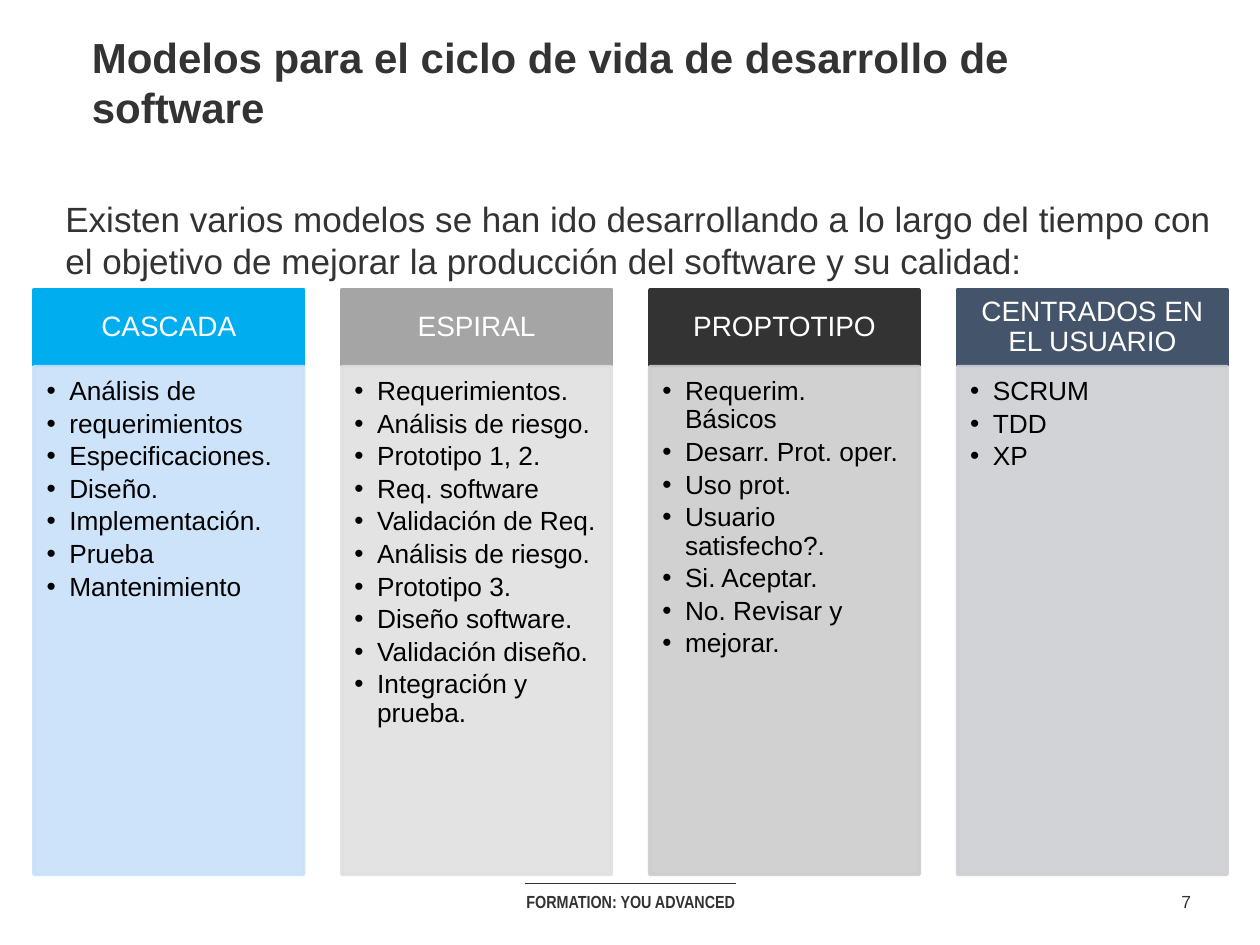
"""Build the slide on software life cycle models."""
from lxml.etree import SubElement
from pptx import Presentation
from pptx.dml.color import RGBColor
from pptx.enum.shapes import MSO_CONNECTOR, MSO_SHAPE
from pptx.enum.text import MSO_ANCHOR as ANCHOR, PP_ALIGN as ALIGN
from pptx.oxml.ns import qn
from pptx.util import Inches, Pt

DARK = RGBColor(0x33, 0x33, 0x33)
WHITE = RGBColor(0xFF, 0xFF, 0xFF)
BLACK = RGBColor(0, 0, 0)

TITLE = "Modelos para el ciclo de vida de desarrollo de software"
INTRO = ("Existen varios modelos se han ido desarrollando a lo largo del tiempo "
         "con el objetivo de mejorar la producción del software y su calidad:")
FOOTER = "FORMATION: YOU ADVANCED"
PAGE = "7"

MODELS = [
    ("CASCADA", RGBColor(0x00, 0xAD, 0xEF), RGBColor(0xC8, 0xE1, 0xF9),
     ["Análisis de", "requerimientos", "Especificaciones.", "Diseño.",
      "Implementación.", "Prueba", "Mantenimiento"]),
    ("ESPIRAL", RGBColor(0xA5, 0xA5, 0xA5), RGBColor(0xE0, 0xE0, 0xE0),
     ["Requerimientos.", "Análisis de riesgo.", "Prototipo 1, 2.",
      "Req. software", "Validación de Req.", "Análisis de riesgo.",
      "Prototipo 3.", "Diseño software.", "Validación diseño.",
      "Integración y prueba."]),
    ("PROPTOTIPO", DARK, RGBColor(0xCC, 0xCC, 0xCC),
     ["Requerim. Básicos", "Desarr. Prot. oper.", "Uso prot.",
      "Usuario satisfecho?.", "Si. Aceptar.", "No. Revisar y", "mejorar."]),
    ("CENTRADOS EN EL USUARIO", RGBColor(0x44, 0x54, 0x6A),
     RGBColor(0xCD, 0xCF, 0xD3), ["SCRUM", "TDD", "XP"]),
]

LEFT, LAST_LEFT, COL_W = 0.27, 7.6, 2.14
HEAD_Y, HEAD_H, BODY_Y, BODY_H = 2.3, 0.6, 2.91, 4.03
PITCH = (LAST_LEFT - LEFT) / (len(MODELS) - 1)

TITLE_FONT = {"name": "Arial", "size": Pt(24), "bold": True}
INTRO_FONT = {"name": "Arial", "size": Pt(20)}
FOOTER_FONT = {"name": "Arial Narrow", "size": Pt(10), "bold": True}
PAGE_FONT = {"name": "Arial", "size": Pt(10)}
HEAD_FONT = {"name": "Arial", "size": Pt(16)}
BODY_FONT = {"name": "Arial", "size": Pt(15)}


def set_frame(sp, insets, anchor=ANCHOR.TOP):
    tf = sp.text_frame
    sides = ("margin_left", "margin_top", "margin_right", "margin_bottom")
    for side, inset in zip(sides, insets):
        setattr(tf, side, Inches(inset))
    tf.word_wrap = True
    tf.vertical_anchor = anchor
    return tf


def write(p, text, font, color, **layout):
    for key, value in layout.items():
        setattr(p, key, value)
    r = p.add_run()
    r.text = text
    for key, value in font.items():
        setattr(r.font, key, value)
    r.font.color.rgb = color


def add_text(s, box, text, font, inset_y=0.05, **layout):
    sp = s.shapes.add_textbox(*map(Inches, box))
    tf = set_frame(sp, (0.1, inset_y, 0.1, inset_y))
    write(tf.paragraphs[0], text, font, DARK, **layout)


def add_panel(s, box, color):
    sp = s.shapes.add_shape(MSO_SHAPE.RECTANGLE, *map(Inches, box))
    sp.shadow.inherit = False
    sp.fill.solid()
    sp.fill.fore_color.rgb = color
    sp.line.color.rgb = color
    sp.line.width = Pt(2)
    return sp


def add_bullet(p):
    pPr = p._p.get_or_add_pPr()
    pPr.set("marL", str(Inches(0.19)))
    pPr.set("indent", str(Inches(-0.18)))
    SubElement(SubElement(pPr, qn("a:buClr")), qn("a:srgbClr"), val=str(BLACK))
    SubElement(pPr, qn("a:buFont"), typeface="Arial")
    SubElement(pPr, qn("a:buChar"), char="•")


def add_model(s, x, name, head_color, body_color, steps):
    head = add_panel(s, (x, HEAD_Y, COL_W, HEAD_H), head_color)
    tf = set_frame(head, (0.12, 0.07, 0.12, 0.07), ANCHOR.MIDDLE)
    write(tf.paragraphs[0], name, HEAD_FONT, WHITE,
          alignment=ALIGN.CENTER, line_spacing=0.9)

    body = add_panel(s, (x, BODY_Y, COL_W, BODY_H), body_color)
    for clr in body._element.spPr.iter(qn("a:srgbClr")):
        SubElement(clr, qn("a:alpha"), val="90000")
    tf = set_frame(body, (0.09, 0.09, 0.12, 0.14))
    for i, step in enumerate(steps):
        p = tf.add_paragraph() if i else tf.paragraphs[0]
        add_bullet(p)
        write(p, step, BODY_FONT, BLACK, alignment=ALIGN.LEFT,
              line_spacing=0.9, space_before=Pt(2.4 if i else 0))


def add_rule(s, x1, x2, y):
    line = s.shapes.add_connector(
        MSO_CONNECTOR.STRAIGHT, *map(Inches, (x1, y, x2, y)))
    line.line.color.rgb = DARK
    line.line.width = Pt(0.75)
    SubElement(line._element.spPr, qn("a:effectLst"))


def main():
    prs = Presentation()
    prs.slide_width, prs.slide_height = Inches(10), Inches(7.5)
    s = prs.slides.add_slide(prs.slide_layouts[6])
    add_text(s, (3.67, 7.02, 2.67, 0.27), FOOTER, FOOTER_FONT,
             alignment=ALIGN.CENTER)
    add_rule(s, 4.17, 5.84, 7.01)
    add_text(s, (9.23, 7.02, 0.37, 0.27), PAGE, PAGE_FONT,
             alignment=ALIGN.CENTER)
    add_text(s, (0.63, 0.15, 8.75, 1.27), TITLE, TITLE_FONT, inset_y=0.1)
    for i, model in enumerate(MODELS):
        add_model(s, LEFT + i * PITCH, *model)
    add_text(s, (0.42, 1.52, 9.31, 0.77), INTRO, INTRO_FONT)
    prs.save("out.pptx")


if __name__ == "__main__":
    main()
